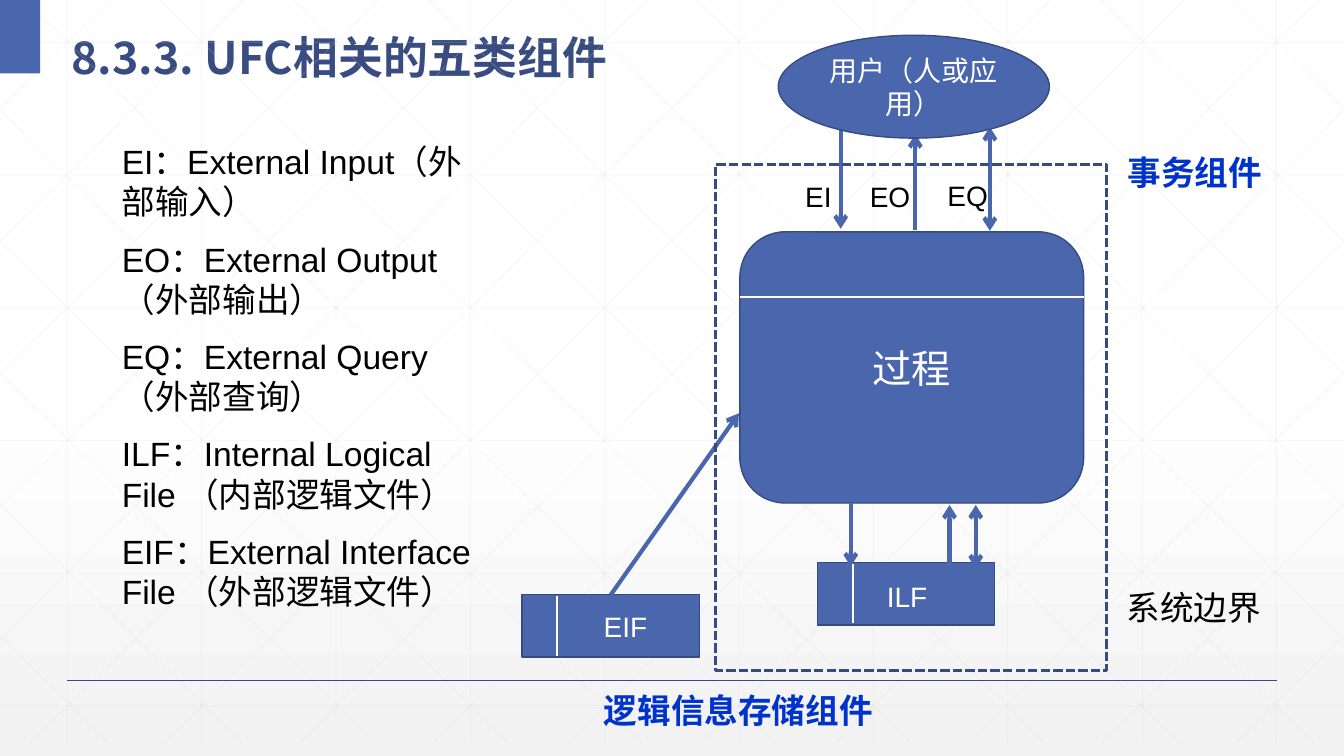
from dataclasses import dataclass

from lxml.etree import SubElement
from pptx import Presentation
from pptx.dml.color import RGBColor
from pptx.enum.dml import MSO_LINE
from pptx.enum.shapes import MSO_CONNECTOR, MSO_SHAPE
from pptx.enum.text import MSO_ANCHOR, MSO_AUTO_SIZE, PP_ALIGN
from pptx.oxml.ns import qn
from pptx.slide import Slide
from pptx.text.text import TextFrame
from pptx.util import Inches, Pt

COLORS = {
    "white": "FFFFFF", "shade": "F2F2F2", "grid": "D9D9D9", "blue": "4A66AC",
    "edge": "374B7F", "title": "384C81", "accent": "0033CC", "black": "000000",
}
CELL = 0.1  # inches: one column and one row of the layout grid
COLUMNS, ROWS = 133.33, 75
GRID_BOTTOM = 73.7
GRID_STEP = 13.33


@dataclass(frozen=True)
class Line:
    start: tuple[float, float]
    end: tuple[float, float]
    color: str = "blue"
    width: float = 3
    head: bool = False
    tail: bool = False
    opacity: int = 100


@dataclass(frozen=True)
class Block:
    box: tuple[float, float, float, float]
    geometry: MSO_SHAPE = MSO_SHAPE.RECTANGLE
    fill: str | None = "blue"
    edge: str | None = "edge"
    edge_width: float = 1
    dash: MSO_LINE | None = None
    text: str = ""
    size: int = 20


@dataclass(frozen=True)
class Label:
    box: tuple[float, float, float, float]
    paragraphs: tuple[str, ...]
    size: int = 20
    color: str = "black"
    bold: bool = False
    align: PP_ALIGN = PP_ALIGN.LEFT
    wrap: bool = False


def cells(*lengths: float) -> list[int]:
    return [Inches(length * CELL) for length in lengths]


def rgb(name: str) -> RGBColor:
    return RGBColor.from_string(COLORS[name])


def apply(target: object, values: dict) -> None:
    for name, value in values.items():
        setattr(target, name, value)


def write(frame: TextFrame, paragraphs: tuple[str, ...], size: int, color: str,
          bold: bool, align: PP_ALIGN, font_name: str = "Arial") -> None:
    for index, text in enumerate(paragraphs):
        paragraph = frame.add_paragraph() if index else frame.paragraphs[0]
        paragraph.alignment = align
        if index:
            paragraph.space_before = Pt(12)
        run = paragraph.add_run()
        run.text = text
        apply(run.font, {"name": font_name, "size": Pt(size), "bold": bold})
        run.font.color.rgb = rgb(color)


def draw_line(slide: Slide, line: Line) -> None:
    connector = slide.shapes.add_connector(
        MSO_CONNECTOR.STRAIGHT, *cells(*line.start, *line.end))
    connector.line.color.rgb = rgb(line.color)
    connector.line.width = Pt(line.width)
    properties = connector._element.spPr
    outline = properties.find(qn("a:ln"))
    if line.opacity < 100:
        color = outline.find(".//" + qn("a:srgbClr"))
        SubElement(color, qn("a:alpha"), val=str(line.opacity * 1000))
    for tag, present in (("a:headEnd", line.head), ("a:tailEnd", line.tail)):
        if present:
            SubElement(outline, qn(tag), type="arrow")
    SubElement(properties, qn("a:effectLst"))


def draw_block(slide: Slide, block: Block) -> None:
    shape = slide.shapes.add_shape(block.geometry, *cells(*block.box))
    shape.shadow.inherit = False
    if block.fill:
        shape.fill.solid()
        shape.fill.fore_color.rgb = rgb(block.fill)
    else:
        shape.fill.background()
    if block.edge:
        shape.line.color.rgb = rgb(block.edge)
        apply(shape.line, {"width": Pt(block.edge_width), "dash_style": block.dash})
    else:
        shape.line.fill.background()
    if block.text:
        apply(shape.text_frame, {"word_wrap": True, "vertical_anchor": MSO_ANCHOR.MIDDLE})
        write(shape.text_frame, (block.text,), block.size, "white", False, PP_ALIGN.CENTER)


def draw_label(slide: Slide, label: Label) -> None:
    frame = slide.shapes.add_textbox(*cells(*label.box)).text_frame
    apply(frame, {"word_wrap": label.wrap, "auto_size": MSO_AUTO_SIZE.SHAPE_TO_FIT_TEXT})
    write(frame, label.paragraphs, label.size, label.color, label.bold, label.align)


def draw_background(slide: Slide) -> None:
    fill = slide.background.fill
    fill.gradient()
    fill.gradient_angle = 270
    for stop, color, position in zip(fill.gradient_stops, ("white", "shade"), (0.53, 1)):
        stop.color.rgb = rgb(color)
        stop.position = position

    ends = [((6.67 + GRID_STEP * i, 0), (6.67 + GRID_STEP * i, GRID_BOTTOM))
            for i in range(10)]
    ends += [((0, 4.2 + 13.16 * i), (COLUMNS, 4.2 + 13.16 * i)) for i in range(6)]
    diagonals = []
    for i in range(10):
        left = 2.5 + GRID_STEP * i
        run = min(74.5, COLUMNS - left)
        diagonals.append(((left, 0), (left + run, run * GRID_BOTTOM / 74.5)))
    diagonals += [((0, 10.9 + 13.03 * i), (63.7 - 13.23 * i, GRID_BOTTOM))
                  for i in range(5)]
    mirrored = [((COLUMNS - x1, y1), (COLUMNS - x2, y2))
                for (x1, y1), (x2, y2) in diagonals]
    for start, end in ends + diagonals + mirrored:
        draw_line(slide, Line(start, end, "grid", 0.5, opacity=25))
    draw_line(slide, Line((6.67, 67.5), (126.67, 67.5), "title", 1))
    draw_block(slide, Block((0, 0, 4, 7.3), edge=None))


def draw_title(slide: Slide, text: str) -> None:
    title = slide.shapes.title
    apply(title, dict(zip(("left", "top", "width", "height"), cells(6.1, 1.2, 67.1, 7.3))))
    apply(title.text_frame, {"word_wrap": True, "auto_size": MSO_AUTO_SIZE.NONE,
                             "vertical_anchor": MSO_ANCHOR.MIDDLE})
    font_name = "Noto Sans CJK SC"
    write(title.text_frame, (text,), 32, "title", True, PP_ALIGN.LEFT, font_name)
    paragraph = title.text_frame.paragraphs[0]
    paragraph.line_spacing = 1.3
    SubElement(paragraph.runs[0].font._element, qn("a:ea"), typeface=font_name)


def draw_storage(slide: Slide, left: float, top: float) -> None:
    draw_block(slide, Block((left, top, 17.6, 6.2)))
    divider = left + 3.5
    draw_line(slide, Line((divider, top + 0.15), (divider, top + 6.05), "white", 1.5))


COMPONENTS = Label((11.1, 13.5, 39, 48.1), (
    "EI：External Input（外部输入）",
    "EO：External Output （外部输出）",
    "EQ：External Query （外部查询）",
    "ILF：Internal Logical File （内部逻辑文件）",
    "EIF：External Interface File （外部逻辑文件）",
), 24, wrap=True)
PROCESS = Block((73.4, 23, 34.1, 26.9), MSO_SHAPE.ROUNDED_RECTANGLE, text="过程", size=28)
USER = Block((77.2, 3.5, 26.9, 10.2), MSO_SHAPE.OVAL, text="用户（人或应用）")
BOUNDARY = Block((71, 16.3, 38.8, 50.2), fill=None, edge_width=2.25, dash=MSO_LINE.SQUARE_DOT)
STORAGES = ((81.1, 55.8), (51.8, 59))
FLOWS = (
    Line((83.4, 12.8), (83.4, 22.7), tail=True),
    Line((90.8, 13.3), (90.8, 22.8), head=True),
    Line((98.2, 12.6), (98.2, 22.9), head=True, tail=True),
    Line((84.4, 49.9), (84.4, 56.2), tail=True),
    Line((94.2, 50.1), (94.2, 56.4), head=True),
    Line((96.8, 50.1), (96.8, 56.4), head=True, tail=True),
    Line((60.6, 59), (73.3, 41), tail=True),
)
LABELS = (
    Label((78.9, 17.3, 4.7, 4.4), ("EI",)),
    Label((85.3, 17.3, 6.2, 4.4), ("EO",)),
    Label((93, 17.2, 6.2, 4.4), ("EQ",)),
    Label((87, 57, 6.3, 4.4), ("ILF",), color="white"),
    Label((58.9, 60, 6.4, 4.4), ("EIF",), color="white"),
    Label((58.8, 68, 28.9, 5), ("逻辑信息存储组件",), 24, "accent", True, PP_ALIGN.CENTER),
    Label((110.3, 57.7, 16.3, 5), ("系统边界",), 24, align=PP_ALIGN.CENTER, wrap=True),
    Label((110.8, 14.6, 15.5, 5), ("事务组件",), 24, "accent", True, PP_ALIGN.CENTER),
)


def main() -> None:
    presentation = Presentation()
    apply(presentation, dict(zip(("slide_width", "slide_height"), cells(COLUMNS, ROWS))))
    slide = presentation.slides.add_slide(presentation.slide_layouts[5])
    draw_background(slide)
    draw_title(slide, "8.3.3. UFC相关的五类组件")
    draw_label(slide, COMPONENTS)
    draw_block(slide, PROCESS)
    draw_line(slide, Line((73.4, 29.5), (107.5, 29.5), "white", 1.5))
    for left, top in STORAGES:
        draw_storage(slide, left, top)
    for flow in FLOWS:
        draw_line(slide, flow)
    draw_block(slide, USER)
    draw_block(slide, BOUNDARY)
    for label in LABELS:
        draw_label(slide, label)
    presentation.save("out.pptx")


if __name__ == "__main__":
    main()
